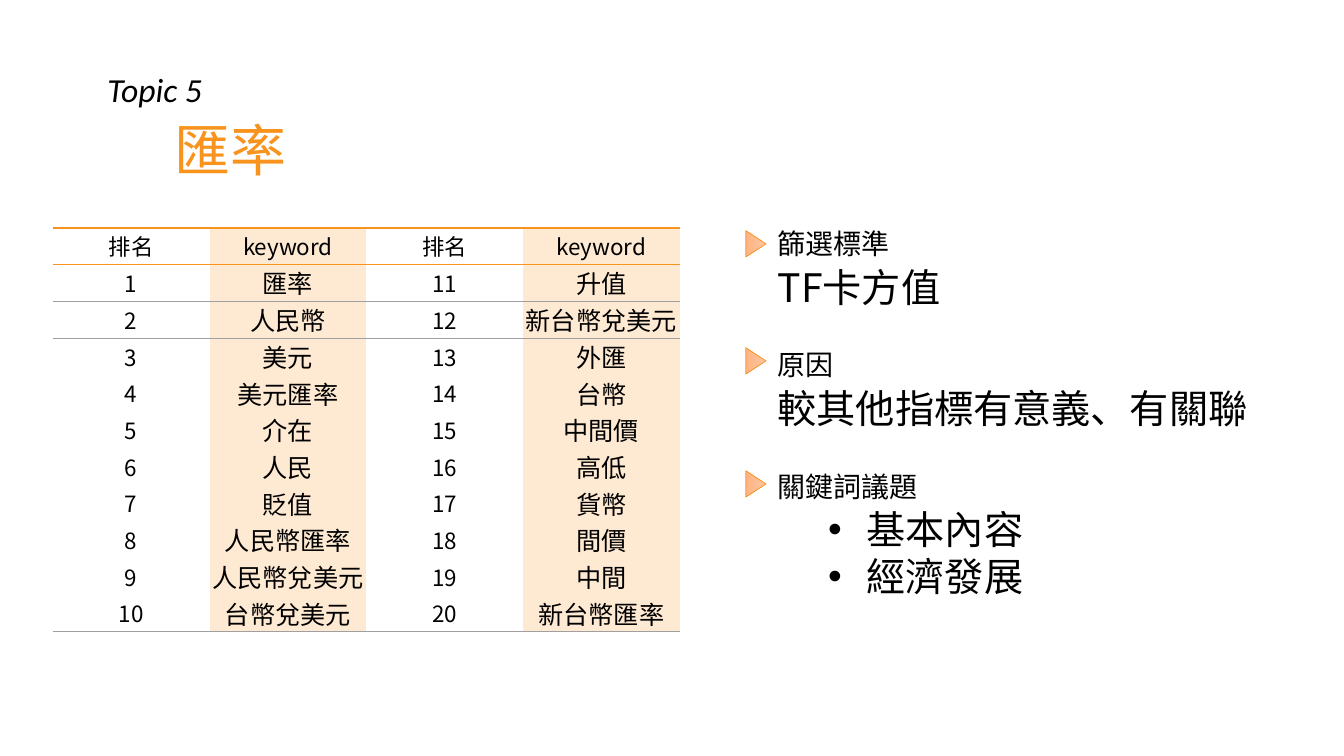
from copy import deepcopy
from lxml import etree
from pptx import Presentation
from pptx import util as u
from pptx.dml.color import RGBColor
from pptx.enum import shapes, text
from pptx.oxml import ns

HUES = {"ink": "000000", "main": "F8931D", "band": "FEE9D2", "rule": "A0A0A0",
        "light": "FEC6A1", "mid": "FCBC93", "deep": "FFB37E"}
SANS, CJK = "Calibri", "Noto Sans CJK SC"

TOPIC, TITLE = "Topic 5", "匯率"
HEADS = ["排名", "keyword"] * 2
WORDS = ["匯率", "人民幣", "美元", "美元匯率", "介在",
         "人民", "貶值", "人民幣匯率", "人民幣兌美元", "台幣兌美元",
         "升值", "新台幣兌美元", "外匯", "台幣", "中間價",
         "高低", "貨幣", "間價", "中間", "新台幣匯率"]
NOTES = [("篩選標準", ["TF卡方值"], False),
         ("原因", ["較其他指標有意義、有關聯"], False),
         ("關鍵詞議題", ["基本內容", "經濟發展"], True)]
MARKS = [5.89, 8.84, 11.94]  # tops of the triangles, cm


def color(name):
    return RGBColor.from_string(HUES[name])


def write(par, words, size=16, font=CJK, hue="ink", italic=False, align=None,
          line=None, before=0, bullet=False):
    run = par.add_run()
    run.text = words
    run.font.size, run.font.name, run.font.italic = u.Pt(size), font, italic
    run.font.color.rgb = color(hue)
    etree.SubElement(run.font._element, ns.qn("a:ea"), typeface=font)
    par.alignment = align
    par.space_before = u.Pt(before)
    if line:
        par.line_spacing = u.Pt(line)
    if bullet:
        par.level = 1
        props = par._p.get_or_add_pPr()
        props.set("marL", str(u.Cm(2.24)))
        props.set("indent", str(u.Cm(-0.97)))
        etree.SubElement(props, ns.qn("a:buFont"), typeface="Arial")
        etree.SubElement(props, ns.qn("a:buChar"), char="•")


def box(slide, left, top, width, height):
    frame = slide.shapes.add_textbox(*map(u.Cm, (left, top, width, height))).text_frame
    frame.word_wrap = True
    return frame


def border(cell, side, hue, width):
    props = cell._tc.get_or_add_tcPr()
    line = etree.SubElement(props, ns.qn("a:" + side), w=str(u.Pt(width)))
    fill = etree.SubElement(line, ns.qn("a:solidFill"))
    etree.SubElement(fill, ns.qn("a:srgbClr"), val=HUES[hue])


def ranking(slide):
    half = len(WORDS) // 2
    rows = [HEADS] + [[str(i + 1), WORDS[i], str(i + 1 + half), WORDS[i + half]]
                      for i in range(half)]
    area = map(u.Cm, (1.33, 5.74, 15.8, 10.18))
    table = slide.shapes.add_table(len(rows), len(HEADS), *area).table
    table.first_row = table.horz_banding = False
    style = table._tbl.tblPr.find(ns.qn("a:tableStyleId"))
    style.text = "{2D5ABB26-0587-4C30-8999-92F81FD0307C}"
    # rules by row boundary: 0 is the top edge of the table
    rules = {0: ("main", 1.5), 1: ("main", 1), 2: ("rule", 0.5), len(rows): ("rule", 0.5)}
    for r, row in enumerate(rows):
        for c, words in enumerate(row):
            cell = table.cell(r, c)
            word = r > 0 and c % 2 == 1
            cell.margin_left = cell.margin_right = u.Cm(0.03)
            cell.margin_top = cell.margin_bottom = 0
            cell.vertical_anchor = text.MSO_ANCHOR.BOTTOM if word else text.MSO_ANCHOR.MIDDLE
            for side, edge in (("lnT", r), ("lnB", r + 1)):
                if edge in rules:
                    border(cell, side, *rules[edge])
            if c % 2:
                cell.fill.solid()
                cell.fill.fore_color.rgb = color("band")
            else:
                cell.fill.background()
            write(cell.text_frame.paragraphs[0], words, size=18 if word else 16,
                  align=text.PP_ALIGN.CENTER)


def notes(slide):
    frame = box(slide, 19.35, 5.59, 12.42, 9.65)
    par = frame.paragraphs[0]
    for n, (label, lines, bullet) in enumerate(NOTES):
        if n:
            par = frame.add_paragraph()
        write(par, label, size=20, line=24, before=27 if n else 0)
        for k, words in enumerate(lines):
            write(frame.add_paragraph(), words, size=28, line=33.5,
                  before=0 if k else 2, bullet=bullet)


def mark(slide, top):
    shape = slide.shapes.add_shape(shapes.MSO_SHAPE.ISOSCELES_TRIANGLE,
                                   *map(u.Cm, (18.72, top, 0.66, 0.51)))
    shape.rotation = 90
    shape.shadow.inherit = False
    shape.line.color.rgb = color("main")
    shape.line.width = u.Pt(0.5)
    shape.fill.gradient()
    shape.fill.gradient_angle = 270
    first = shape._element.spPr.find(".//" + ns.qn("a:gs"))
    first.addnext(deepcopy(first))
    for stop, hue, place in zip(shape.fill.gradient_stops, ("light", "mid", "deep"), (0, 0.5, 1)):
        stop.color.rgb = color(hue)
        stop.position = place


def main():
    deck = Presentation()
    deck.slide_width, deck.slide_height = u.Cm(33.87), u.Cm(19.05)
    slide = deck.slides.add_slide(deck.slide_layouts[6])
    write(box(slide, 2.46, 1.6, 5.26, 1.27).paragraphs[0], TOPIC,
          size=24, font=SANS, italic=True)
    write(box(slide, 4.14, 2.67, 5.26, 1.96).paragraphs[0], TITLE,
          size=40, hue="main", line=51)
    notes(slide)
    ranking(slide)
    for top in MARKS:
        mark(slide, top)
    deck.save("out.pptx")


if __name__ == "__main__":
    main()
